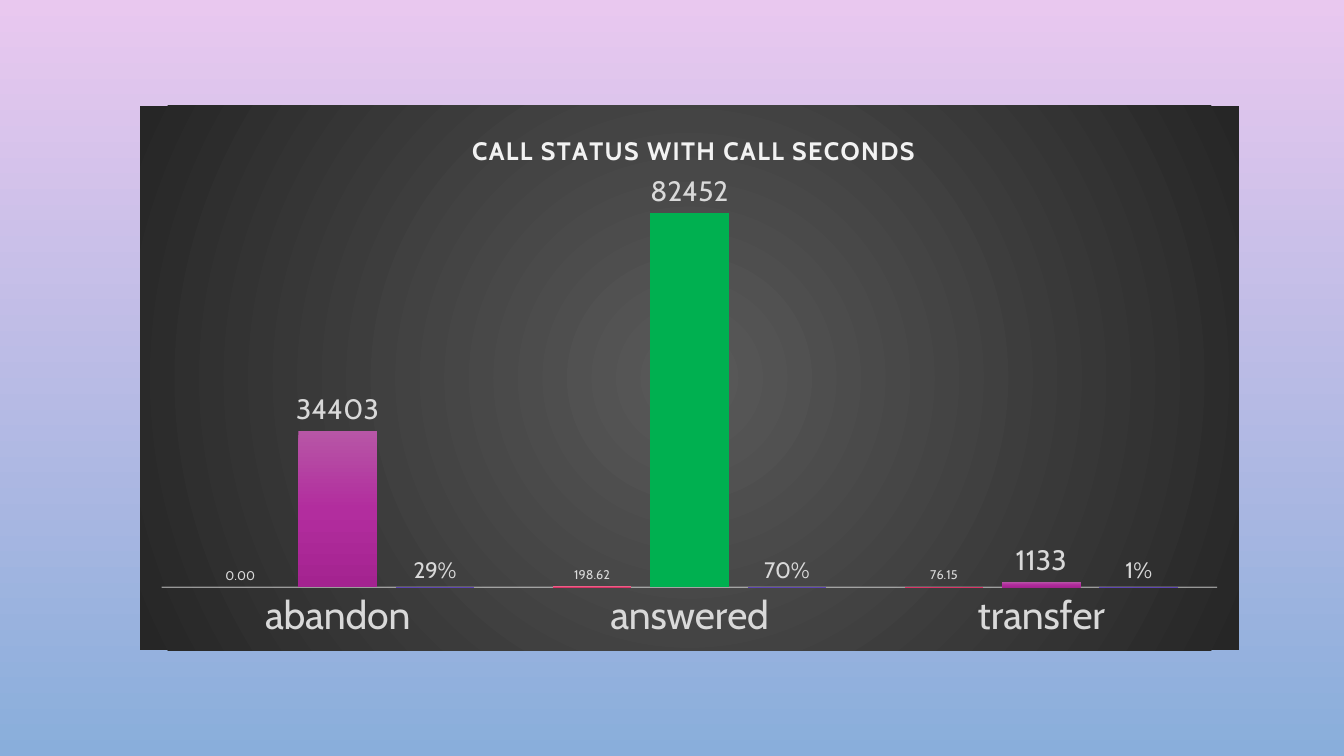
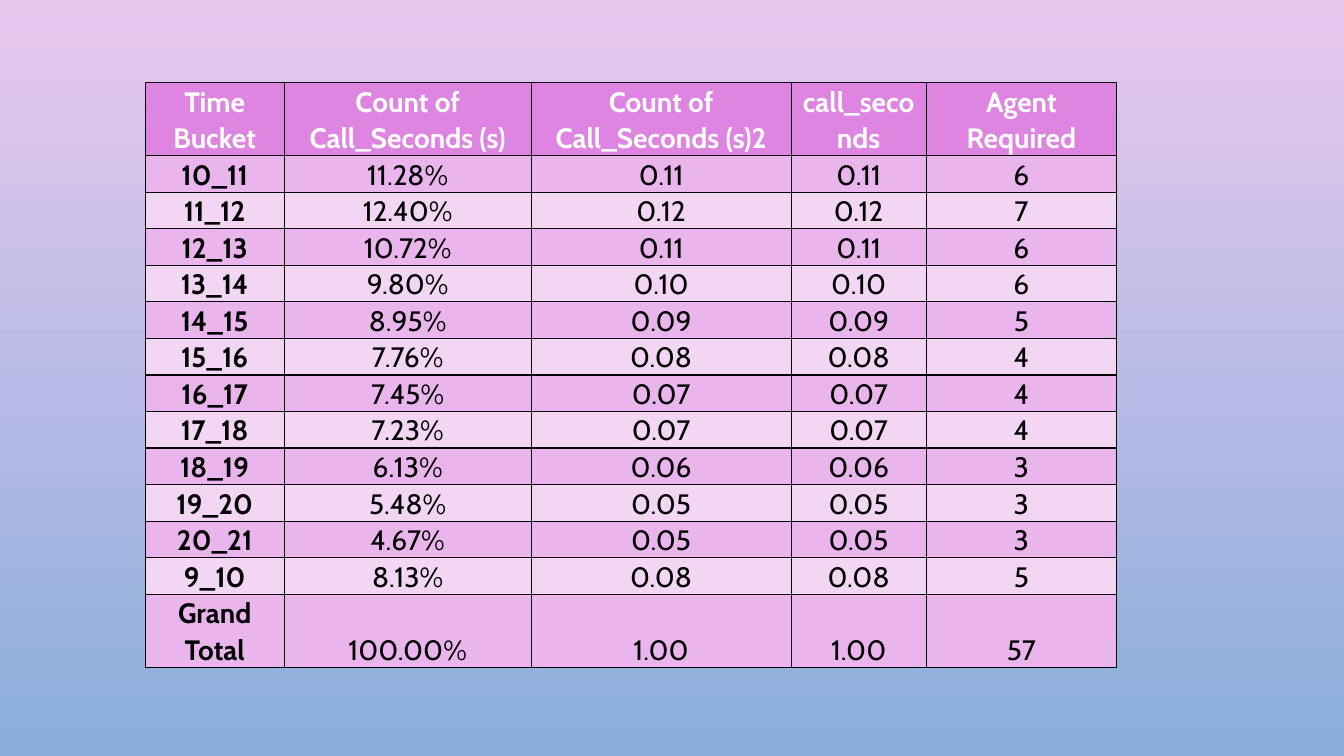
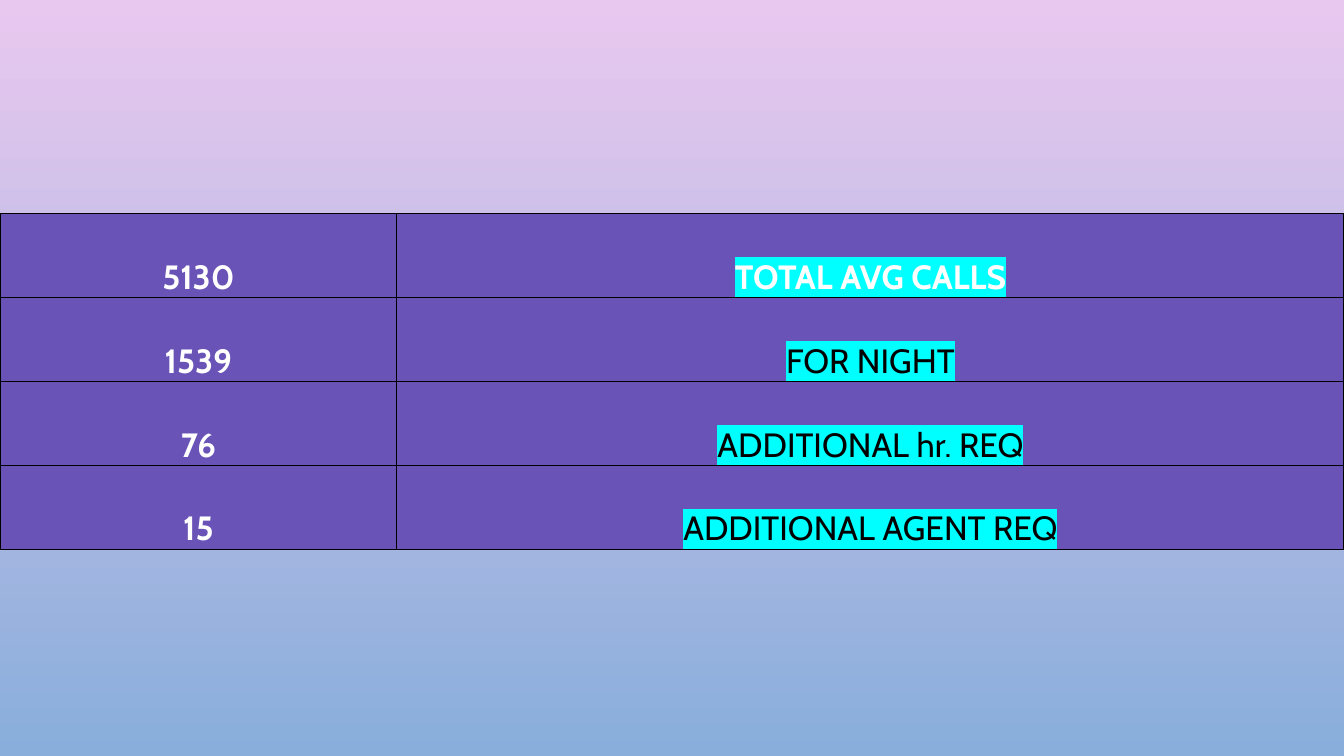
from lxml import etree
from pptx import Presentation
from pptx.chart.data import CategoryChartData
from pptx.dml.color import RGBColor
from pptx.enum import chart as ch, text
from pptx.oxml import ns
from pptx.util import Pt

FONT = "Cabin"
BLACK = RGBColor(0x00, 0x00, 0x00)
WHITE = RGBColor(0xFF, 0xFF, 0xFF)
PALE = RGBColor(0xF2, 0xF2, 0xF2)
GREY = RGBColor(0xD9, 0xD9, 0xD9)
GREEN = RGBColor(0x00, 0xB0, 0x50)
CYAN = RGBColor(0x00, 0xFF, 0xFF)
PURPLE = RGBColor(0x69, 0x53, 0xB7)
ORCHID = RGBColor(0xDE, 0x85, 0xE1)
ORCHID_MID = RGBColor(0xEA, 0xB5, 0xEC)
ORCHID_LIGHT = RGBColor(0xF2, 0xD6, 0xF3)
SKY = (RGBColor(0xE9, 0xC8, 0xEF), RGBColor(0x89, 0xAE, 0xDB))
CHARCOAL = (RGBColor(0x59, 0x59, 0x59), RGBColor(0x26, 0x26, 0x26))
PINK_BAR = (RGBColor(0xE8, 0x66, 0x8A), RGBColor(0xEB, 0x43, 0x77), RGBColor(0xD9, 0x33, 0x66))
MAGENTA_BAR = (RGBColor(0xB7, 0x56, 0xA6), RGBColor(0xB2, 0x2D, 0x9E), RGBColor(0xA4, 0x23, 0x90))
VIOLET_BAR = (RGBColor(0x7C, 0x6B, 0xBF), RGBColor(0x66, 0x4E, 0xBC), RGBColor(0x58, 0x40, 0xAD))

CALL_STATUS = ["abandon", "answered", "transfer"]
CALL_SERIES = [
    ("Series 1", (0, 198.62, 76.15), PINK_BAR, 9, "0.00"),
    ("Series 2", (34403, 82452, 1133), MAGENTA_BAR, 20, "General"),
    ("Series 3", (0.29, 0.7, 0.01), VIOLET_BAR, 16, "0%"),
]
AGENT_ROWS = [
    ("Time Bucket", "Count of Call_Seconds (s)", "Count of Call_Seconds (s)2", "call_seconds", "Agent Required"),
    ("10_11", "11.28%", "0.11", "0.11", "6"),
    ("11_12", "12.40%", "0.12", "0.12", "7"),
    ("12_13", "10.72%", "0.11", "0.11", "6"),
    ("13_14", "9.80%", "0.10", "0.10", "6"),
    ("14_15", "8.95%", "0.09", "0.09", "5"),
    ("15_16", "7.76%", "0.08", "0.08", "4"),
    ("16_17", "7.45%", "0.07", "0.07", "4"),
    ("17_18", "7.23%", "0.07", "0.07", "4"),
    ("18_19", "6.13%", "0.06", "0.06", "3"),
    ("19_20", "5.48%", "0.05", "0.05", "3"),
    ("20_21", "4.67%", "0.05", "0.05", "3"),
    ("9_10", "8.13%", "0.08", "0.08", "5"),
    ("Grand Total", "100.00%", "1.00", "1.00", "57"),
]
NIGHT_ROWS = [
    ("5130", "TOTAL AVG CALLS"),
    ("1539", "FOR NIGHT"),
    ("76", "ADDITIONAL hr. REQ"),
    ("15", "ADDITIONAL AGENT REQ"),
]


def child(parent, tag, **attrs):
    el = etree.SubElement(parent, ns.qn(tag))
    for name, value in attrs.items():
        el.set(name, str(value))
    return el


def add_stops(grad, colours):
    stops = child(grad, "a:gsLst")
    for i, colour in enumerate(colours):
        stop = child(stops, "a:gs", pos=100000 * i // (len(colours) - 1))
        child(stop, "a:srgbClr", val=colour)


def linear_fill(fill, owner, colours):
    fill.gradient()
    grad = owner.find(".//" + ns.qn("a:gradFill"))
    for el in list(grad):
        grad.remove(el)
    add_stops(grad, colours)
    child(grad, "a:lin", ang=5400000, scaled=0)


def radial_chart_fill(chart, colours):
    space = chart._chartSpace
    sp_pr = child(space, "c:spPr")
    grad = child(sp_pr, "a:gradFill")
    add_stops(grad, colours)
    circle = child(grad, "a:path", path="circle")
    child(circle, "a:fillToRect", l=50000, t=50000, r=50000, b=50000)
    child(child(sp_pr, "a:ln"), "a:noFill")
    space.find(ns.qn("c:chart")).addnext(sp_pr)


def place(layout, **lengths):
    for el in list(layout):
        layout.remove(el)
    manual = child(layout, "c:manualLayout")
    if "w" in lengths:
        child(manual, "c:layoutTarget", val="inner")
    child(manual, "c:xMode", val="edge")
    child(manual, "c:yMode", val="edge")
    for name, value in lengths.items():
        child(manual, "c:" + name, val=value)


def style_font(font, size, colour, bold=False):
    font.name = FONT
    font.size = Pt(size)
    font.bold = bold
    font.color.rgb = colour


def new_slide(prs):
    s = prs.slides.add_slide(prs.slide_layouts[6])
    linear_fill(s.background.fill, s._element, SKY)
    return s


def style_title(chart, width, height):
    tf = chart.chart_title.text_frame
    tf.text = "CALL STATUS WITH CALL SECONDS"
    r = tf.paragraphs[0].runs[0]
    style_font(r.font, 18, PALE, True)
    r._r.get_or_add_rPr().set("spc", "100")
    title = chart.chart_title._element
    layout = title.find(ns.qn("c:layout"))
    if layout is None:
        layout = child(title, "c:layout")
        title.find(ns.qn("c:tx")).addnext(layout)
    place(layout, x=234 / width, y=16.5 / height)
    chart.chart_title.include_in_layout = False


def style_axes(chart):
    values = chart.value_axis
    values.minimum_scale, values.maximum_scale = 0, 90000
    values.has_major_gridlines = False
    values.tick_labels.number_format = "0.00"
    values.tick_labels.number_format_is_linked = False
    values.visible = False
    cats = chart.category_axis
    cats.major_tick_mark = cats.minor_tick_mark = ch.XL_TICK_MARK.NONE
    style_font(cats.tick_labels.font, 28, GREY)
    line = cats.format.line
    line.width = Pt(1)
    line.color.rgb = PALE
    colour = cats._element.find(ns.qn("c:spPr")).find(".//" + ns.qn("a:srgbClr"))
    child(colour, "a:alpha", val=54000)


def add_call_chart(s, left, top, width, height):
    data = CategoryChartData()
    data.categories = CALL_STATUS
    for name, values, _, _, number_format in CALL_SERIES:
        data.add_series(name, values, number_format)
    frame = s.shapes.add_chart(ch.XL_CHART_TYPE.COLUMN_CLUSTERED,
                               Pt(left), Pt(top), Pt(width), Pt(height), data)
    chart = frame.chart
    style_font(chart.font, 10, BLACK)
    chart.has_legend = False
    chart.has_title = True
    style_title(chart, width, height)
    style_axes(chart)
    radial_chart_fill(chart, CHARCOAL)

    plot = chart.plots[0]
    plot.vary_by_categories = False
    plot.gap_width, plot.overlap = 100, -24
    for series, (_, _, colours, size, number_format) in zip(plot.series, CALL_SERIES):
        linear_fill(series.format.fill, series._element, colours)
        labels = series.data_labels
        labels.show_value = True
        labels.position = ch.XL_LABEL_POSITION.OUTSIDE_END
        labels.number_format = number_format
        labels.number_format_is_linked = False
        style_font(labels.font, size, GREY)
    answered = plot.series[1].points[1].format.fill
    answered.solid()
    answered.fore_color.rgb = GREEN

    area = chart._chartSpace.find(".//" + ns.qn("c:plotArea"))
    layout = area.find(ns.qn("c:layout"))
    if layout is None:
        layout = child(area, "c:layout")
        area.insert(0, layout)
    place(layout, x=15.5 / width, y=52 / height, w=754 / width, h=292 / height)


def set_borders(cell):
    tc_pr = cell._tc.get_or_add_tcPr()
    for side in "LRTB":
        line = child(tc_pr, "a:ln" + side, w=Pt(1))
        child(child(line, "a:solidFill"), "a:srgbClr", val=BLACK)


def fill_cell(cell, words, size, fill, colour, bold, highlight=None):
    set_borders(cell)
    cell.fill.solid()
    cell.fill.fore_color.rgb = fill
    cell.margin_left = cell.margin_right = Pt(5)
    cell.margin_top = cell.margin_bottom = 0
    cell.vertical_anchor = text.MSO_ANCHOR.BOTTOM
    cell.text_frame.text = words
    p = cell.text_frame.paragraphs[0]
    p.alignment = text.PP_ALIGN.CENTER
    p.line_spacing = 1.07
    p.space_after = Pt(8)
    r = p.runs[0]
    style_font(r.font, size, colour, bold)
    if highlight:
        r_pr = r._r.get_or_add_rPr()
        mark = child(r_pr, "a:highlight")
        child(mark, "a:srgbClr", val=highlight)
        r_pr.find(ns.qn("a:solidFill")).addnext(mark)


def add_grid(s, left, top, widths, heights, rows, size, style):
    frame = s.shapes.add_table(len(rows), len(widths), Pt(left), Pt(top),
                               Pt(sum(widths)), Pt(sum(heights)))
    table = frame.table
    table.first_row = table.horz_banding = False
    for column, width in zip(table.columns, widths):
        column.width = Pt(width)
    for i, (row, height) in enumerate(zip(table.rows, heights)):
        row.height = Pt(height)
        for j, cell in enumerate(row.cells):
            fill_cell(cell, rows[i][j], size, *style(i, j))


def agent_style(i, j):
    if i == 0:
        return ORCHID, WHITE, True
    return (ORCHID_MID if i % 2 else ORCHID_LIGHT), BLACK, j == 0


def night_style(i, j):
    strong = i == 0 or j == 0
    return PURPLE, WHITE if strong else BLACK, strong, CYAN if j else None


def main():
    prs = Presentation()
    prs.slide_width, prs.slide_height = Pt(960), Pt(540)
    add_call_chart(new_slide(prs), 100, 75.6, 785, 389)
    add_grid(new_slide(prs), 103.7, 59, (99.3, 176.4, 185.7, 96.5, 136),
             [52] + [26] * 12 + [52], AGENT_ROWS, 20, agent_style)
    add_grid(new_slide(prs), 0, 152.5, (283.5, 676.5), [60] * 4,
             NIGHT_ROWS, 24, night_style)
    prs.save("out.pptx")


if __name__ == "__main__":
    main()
